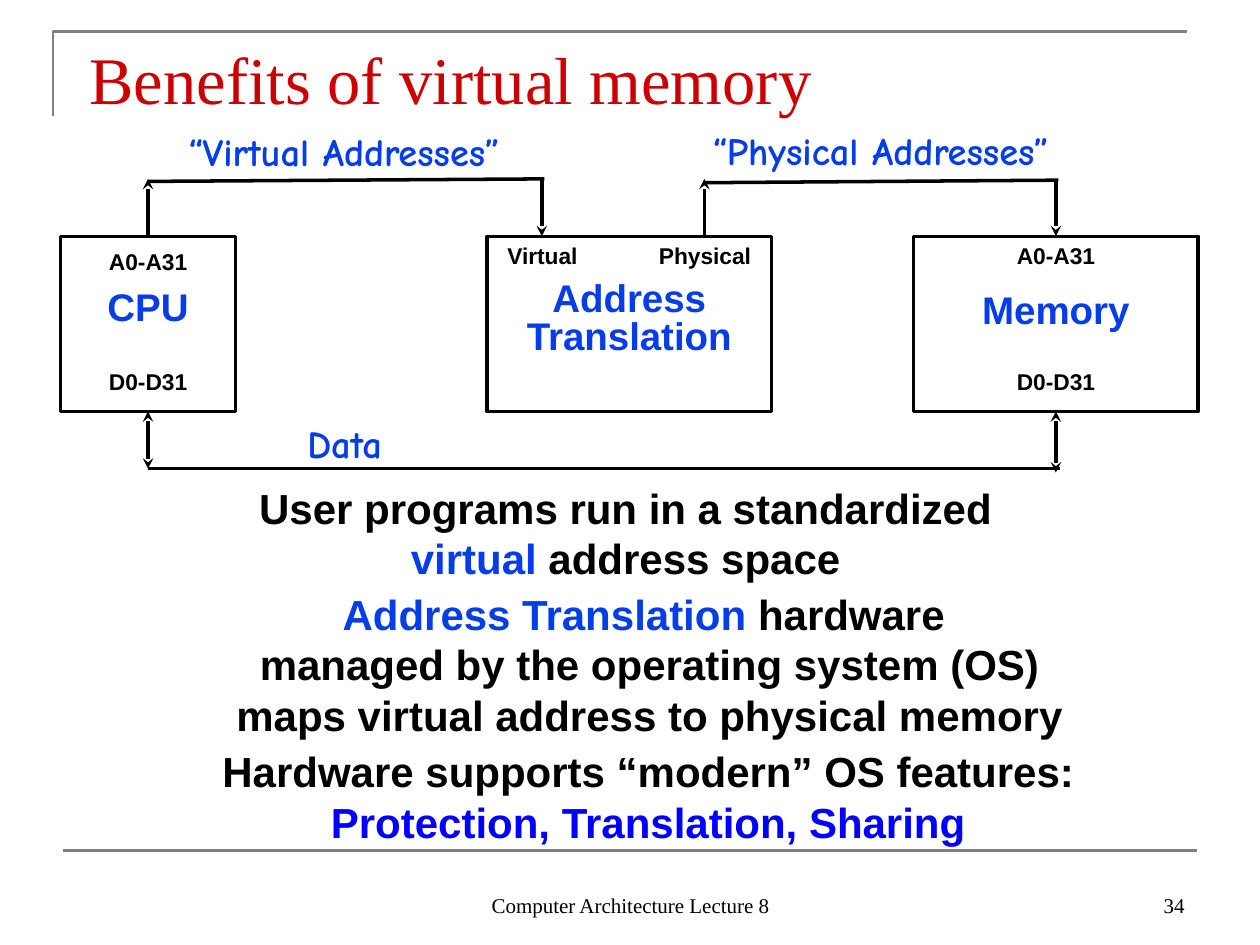
from dataclasses import dataclass

from lxml.etree import SubElement
from pptx import Presentation
from pptx.dml.color import RGBColor
from pptx.enum.shapes import MSO_CONNECTOR as Line, MSO_SHAPE as Shape
from pptx.enum.text import MSO_ANCHOR as Anchor, MSO_AUTO_SIZE as Fit, PP_ALIGN as Align
from pptx.oxml.ns import qn
from pptx.util import Inches, Pt

COLS, ROWS = 100, 75
CELL = Inches(0.1)
INK = {"black": "000000", "blue": "053DE8", "pure": "0000FF",
       "red": "CC0000", "gray": "808080"}
SERIF, SANS, HAND = "Times New Roman", "Arial", "Comic Neue"
TOP, BOTTOM = 0, 2


@dataclass
class Box:
    """An area in grid cells."""
    x: float
    y: float
    w: float
    h: float

    def sub(self, x, y, w, h):
        return Box(self.x + x, self.y + y, w, h)

    def point(self, x, y):
        return self.x + x, self.y + y

    def emu(self):
        return [cells(n) for n in (self.x, self.y, self.w, self.h)]


def cells(count):
    return round(count * CELL)


def color(name):
    return RGBColor.from_string(INK[name])


def write(slide, box, lines, size, font=SANS, bold=True, align=Align.CENTER,
          wrap=True, lead=None, grow=True, anchor=Anchor.TOP, pads=(0, 0, 0, 0)):
    """Each line is a list of (text, ink) runs; lead is an exact line height."""
    frame = slide.shapes.add_textbox(*box.emu()).text_frame
    frame.word_wrap = wrap
    frame.auto_size = Fit.SHAPE_TO_FIT_TEXT if grow else Fit.NONE
    frame.vertical_anchor = anchor
    (frame.margin_left, frame.margin_top,
     frame.margin_right, frame.margin_bottom) = [cells(pad) for pad in pads]
    for row, line in enumerate(lines):
        para = frame.add_paragraph() if row else frame.paragraphs[0]
        para.alignment = align
        if lead:
            para.line_spacing = Pt(lead)
        for text, ink in line:
            run = para.add_run()
            run.text = text
            run.font.name, run.font.size, run.font.bold = font, Pt(size), bold
            run.font.color.rgb = color(ink)


def link(slide, start, end, ink="black", width=2, head=False, tail=False):
    """Straight line; head puts an arrow at the start, tail at the end."""
    line = slide.shapes.add_connector(Line.STRAIGHT, *map(cells, (*start, *end)))
    line.line.color.rgb = color(ink)
    line.line.width = Pt(width)
    stroke = line.line._get_or_add_ln()
    for tag, wanted in (("a:headEnd", head), ("a:tailEnd", tail)):
        if wanted:
            SubElement(stroke, qn(tag), type="stealth")
    SubElement(line._element.spPr, qn("a:effectLst"))
    return line


def pin(slide, box, mid, top, text, width):
    """Small pin label centred on mid."""
    write(slide, box.sub(mid - width / 2, top, width, 1), [[(text, "black")]],
          13, wrap=False, lead=7)


def block(slide, box, names, top, width, lead):
    """Outlined unit with its name; returns the rectangle."""
    rect = slide.shapes.add_shape(Shape.RECTANGLE, *box.emu())
    rect.shadow.inherit = False
    rect.fill.background()
    rect.line.color.rgb = color("black")
    rect.line.width = Pt(2)
    write(slide, box.sub((box.w - width) / 2, top, width, 2.5 * len(names)),
          [[(name, "blue")] for name in names], 22, wrap=False, lead=lead)
    return rect


def diagram(slide, box):
    pitch, top, tall, wide, slim = 33.85, 8.75, 13.9, 22.6, 13.9
    areas = [box.sub(col * pitch, top, width, tall)
             for col, width in enumerate((slim, wide, wide))]
    cpu = block(slide, areas[0], ["CPU"], 5, 7.2, 17)
    block(slide, areas[1], ["Address", "Translation"], 3.6, 17, 22)
    mem = block(slide, areas[2], ["Memory"], 5, 12.4, 19)
    for area, drop in ((areas[0], 2.1), (areas[2], 1.6)):
        pin(slide, area, area.w / 2, drop, "A0-A31", 6.8)
        pin(slide, area, area.w / 2, 11.6, "D0-D31", 6.8)
    pin(slide, areas[1], 4.4, 1.6, "Virtual", 6.2)
    pin(slide, areas[1], 17.3, 1.6, "Physical", 8)

    for x, y, width, text in ((7.5, 0.2, 30, "“Virtual Addresses”"),
                              (50.1, 0.1, 30, "“Physical Addresses”"),
                              (17.5, 23.3, 10.1, "Data")):
        write(slide, box.sub(x, y, width, 3.7), [[(text, "blue")]], 22, HAND)

    at = box.point
    left, right = slim / 2, 2 * pitch + wide / 2
    enter, leave, high, low = 38.2, 51.1, 4.3, 27.2
    link(slide, at(enter + 0.2, high - 0.1), at(left, high + 0.1))
    link(slide, at(right + 0.2, high), at(leave, high + 0.2))
    link(slide, at(left, low), at(right + 0.3, low))
    link(slide, at(enter, high), at(enter, top), tail=True)
    link(slide, at(leave, high - 0.1), at(leave, top), head=True)
    for rect, mid, side, level, ends in (
            (cpu, left, TOP, high - 0.1, {"head": True}),
            (mem, right, TOP, high, {"tail": True}),
            (cpu, left, BOTTOM, low, {"head": True, "tail": True}),
            (mem, right, BOTTOM, low + 0.3, {"head": True, "tail": True})):
        edge = top if side == TOP else top + tall
        link(slide, at(mid, level), at(mid, edge), **ends).end_connect(rect, side)


def points(slide, box):
    write(slide, box.sub(5, 0, 74.3, 8), [
        [("User programs run in a standardized", "black")],
        [("virtual", "blue"), (" address space", "black")]], 24)
    write(slide, box.sub(5, 8.4, 78.1, 12), [
        [("Address Translation", "blue"), (" hardware ", "black")],
        [("managed by the operating system (OS)", "black")],
        [("maps virtual address to physical memory", "black")]], 24)
    write(slide, box.sub(0, 20.9, 87.9, 8), [
        [("Hardware supports “modern” OS features:", "black")],
        [("Protection, Translation, Sharing", "pure")]], 24)


def heading(slide, box):
    corner = [tuple(map(cells, box.point(*spot)))
              for spot in ((0, box.h), (0, 0), (box.w, 0))]
    trace = slide.shapes.build_freeform(*corner[0], scale=1.0)
    trace.add_line_segments(corner[1:], close=False)
    rule = trace.convert_to_shape()
    rule.shadow.inherit = False
    rule.fill.background()
    rule.line.color.rgb = color("gray")
    rule.line.width = Pt(1.5)
    write(slide, box.sub(1.6, 0, 82.1, 6.8), [[("Benefits of virtual memory", "red")]],
          38, SERIF, False, Align.LEFT, grow=False, pads=(1.3, 0.5, 1, 0))


def footer(slide, box):
    link(slide, box.point(0, 0), box.point(box.w, 0), "gray", 1.5)
    for x, width, text, align in (
            (29.2, 31.7, "Computer Architecture Lecture 8", Align.CENTER),
            (box.w - 23.3, 23.3, "34", Align.RIGHT)):
        write(slide, box.sub(x, 0.8, width, 5), [[(text, "black")]], 12, SERIF,
              False, align, grow=False, anchor=Anchor.BOTTOM, pads=(1, 0.5, 1, 0.5))


def main():
    deck = Presentation()
    deck.slide_width, deck.slide_height = cells(COLS), cells(ROWS)
    slide = deck.slides.add_slide(deck.slide_layouts[6])
    heading(slide, Box(4.2, 2.5, 90, 6.7))
    diagram(slide, Box(4.8, 10, 90.2, 27.5))
    points(slide, Box(7.5, 38.3, 87.9, 28.9))
    footer(slide, Box(5, 67.5, 90, 5.8))
    deck.save("out.pptx")


if __name__ == "__main__":
    main()
